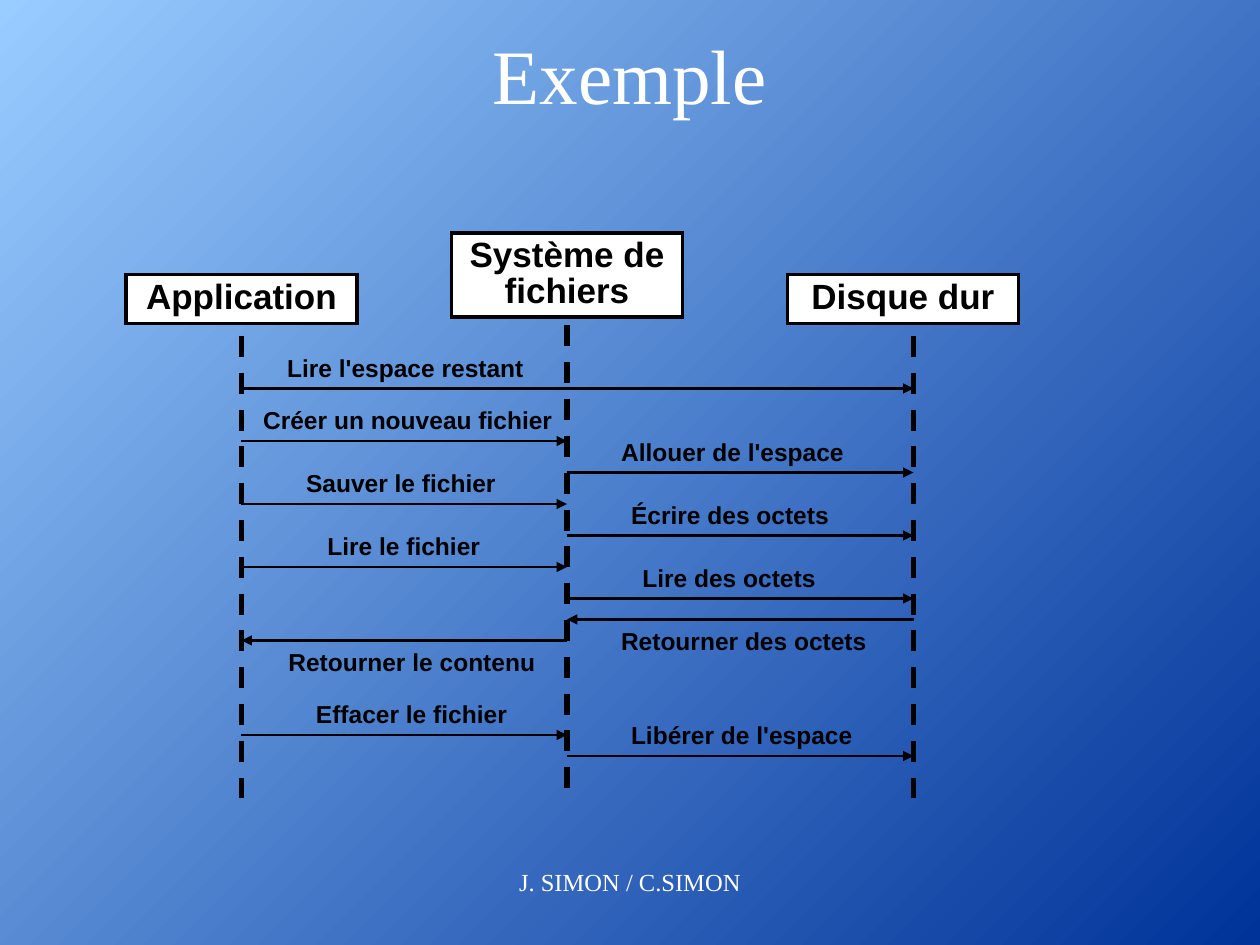
from lxml import etree
from pptx import Presentation
from pptx.dml.color import RGBColor
from pptx.enum.dml import MSO_LINE
from pptx.enum.shapes import MSO_CONNECTOR, MSO_SHAPE
from pptx.enum.text import MSO_ANCHOR, MSO_AUTO_SIZE, PP_ALIGN
from pptx.oxml.ns import qn
from pptx.util import Pt

RECTANGLE, STRAIGHT, DASH = MSO_SHAPE.RECTANGLE, MSO_CONNECTOR.STRAIGHT, MSO_LINE.DASH
LEFT, CENTER = PP_ALIGN.LEFT, PP_ALIGN.CENTER
TOP, MIDDLE = MSO_ANCHOR.TOP, MSO_ANCHOR.MIDDLE
GROW, FIXED = MSO_AUTO_SIZE.SHAPE_TO_FIT_TEXT, MSO_AUTO_SIZE.NONE

# Content: lengths in points
TITLE = ("Exemple", (54, 18, 612, 48))
FOOTER = ("J. SIMON / C.SIMON", (216, 492, 288, 36))

# name: lifeline x, lifeline top, box left, box top, box height
PARTICIPANTS = {
    "Application": (138, 192, 72, 157, 28),
    "Système de fichiers": (324, 186, 258, 133.2, 48),
    "Disque dur": (522, 192, 450, 157, 28),
}
APP, FILES, DISK = PARTICIPANTS

# sender, receiver, arrow y, label, label left, label width
MESSAGES = [
    (APP, DISK, 222, "Lire l'espace restant", 157, 153),
    (APP, FILES, 252, "Créer un nouveau fichier", 143.3, 183),
    (FILES, DISK, 270, "Allouer de l'espace", 347.8, 145),
    (APP, FILES, 288, "Sauver le fichier", 167.8, 126),
    (FILES, DISK, 306, "Écrire des octets", 353.5, 131),
    (APP, FILES, 324, "Lire le fichier", 180, 105),
    (FILES, DISK, 342, "Lire des octets", 360, 117),
    (DISK, FILES, 354, "Retourner des octets", 347.8, 158),
    (FILES, APP, 366, "Retourner le contenu", 157.7, 159),
    (APP, FILES, 420, "Effacer le fichier", 173.5, 127),
    (FILES, DISK, 432, "Libérer de l'espace", 353.5, 145),
]

BOX_WIDTH = 132
LIFELINE_LENGTH = 264
LABEL_HEIGHT = 24

BLACK, WHITE = RGBColor(0, 0, 0), RGBColor(255, 255, 255)
THEME = {
    "background": (RGBColor(0x00, 0x33, 0x99), RGBColor(0x99, 0xCC, 0xFF)),
    "box_fill": WHITE,
    "line": BLACK,
    "widths": {"lifeline": 3, "box": 2, "message": 1.5},
    "title": {"name": "Times New Roman", "size": Pt(44), "bold": False, "color": WHITE},
    "footer": {"name": "Times New Roman", "size": Pt(14), "bold": False, "color": WHITE},
    "box": {"name": "Arial", "size": Pt(20), "bold": True, "color": BLACK},
    "label": {"name": "Arial", "size": Pt(14), "bold": True, "color": BLACK},
}


def write(shape, text, style, align=CENTER, anchor=TOP, fit=FIXED, spacing=1.0):
    frame = shape.text_frame
    frame.word_wrap, frame.auto_size, frame.vertical_anchor = True, fit, anchor
    paragraph = frame.paragraphs[0]
    paragraph.text, paragraph.alignment, paragraph.line_spacing = text, align, spacing
    font = paragraph.runs[0].font
    for key, value in THEME[style].items():
        if key == "color":
            font.color.rgb = value
        else:
            setattr(font, key, value)


def add_text(slide, text, area, style, **layout):
    write(slide.shapes.add_textbox(*map(Pt, area)), text, style, **layout)


def add_line(slide, start, end, role):
    line = slide.shapes.add_connector(STRAIGHT, *map(Pt, (*start, *end)))
    line.line.color.rgb = THEME["line"]
    line.line.width = Pt(THEME["widths"][role])
    etree.SubElement(line._element.spPr, qn("a:effectLst"))
    return line


def add_participant_box(slide, name, area):
    box = slide.shapes.add_shape(RECTANGLE, *map(Pt, area))
    box.shadow.inherit = False
    box.fill.solid()
    box.fill.fore_color.rgb = THEME["box_fill"]
    box.line.color.rgb = THEME["line"]
    box.line.width = Pt(THEME["widths"]["box"])
    # Square corners on the border
    etree.SubElement(box.line._get_or_add_ln(), qn("a:miter"), lim="800000")
    write(box, name, "box", anchor=MIDDLE, fit=GROW, spacing=0.85)


def add_message(slide, sender, receiver, y, label, left, width):
    start_x, end_x = PARTICIPANTS[sender][0], PARTICIPANTS[receiver][0]
    arrow = add_line(slide, (start_x, y), (end_x, y), "message")
    etree.SubElement(arrow.line._get_or_add_ln(), qn("a:tailEnd"), type="triangle")
    # Calls carry the label above the arrow, replies below it
    label_top = y - LABEL_HEIGHT if end_x > start_x else y
    add_text(slide, label, (left, label_top, width, LABEL_HEIGHT), "label", align=LEFT)


def main():
    deck = Presentation()
    deck.slide_width, deck.slide_height = Pt(720), Pt(540)
    slide = deck.slides.add_slide(deck.slide_layouts[6])

    # Background, dark at the lower right
    fill = slide.background.fill
    fill.gradient()
    fill.gradient_angle = 135
    for stop, color in zip(fill.gradient_stops, THEME["background"]):
        stop.color.rgb = color

    add_text(slide, *TITLE, "title", anchor=MIDDLE)

    # Lifelines, then participant boxes
    for x, top, *_ in PARTICIPANTS.values():
        lifeline = add_line(slide, (x, top), (x, top + LIFELINE_LENGTH), "lifeline")
        lifeline.line.dash_style = DASH
    for name, (_, _, left, top, height) in PARTICIPANTS.items():
        add_participant_box(slide, name, (left, top, BOX_WIDTH, height))

    # Messages between lifelines
    for message in MESSAGES:
        add_message(slide, *message)

    add_text(slide, *FOOTER, "footer")
    deck.save("out.pptx")


if __name__ == "__main__":
    main()
